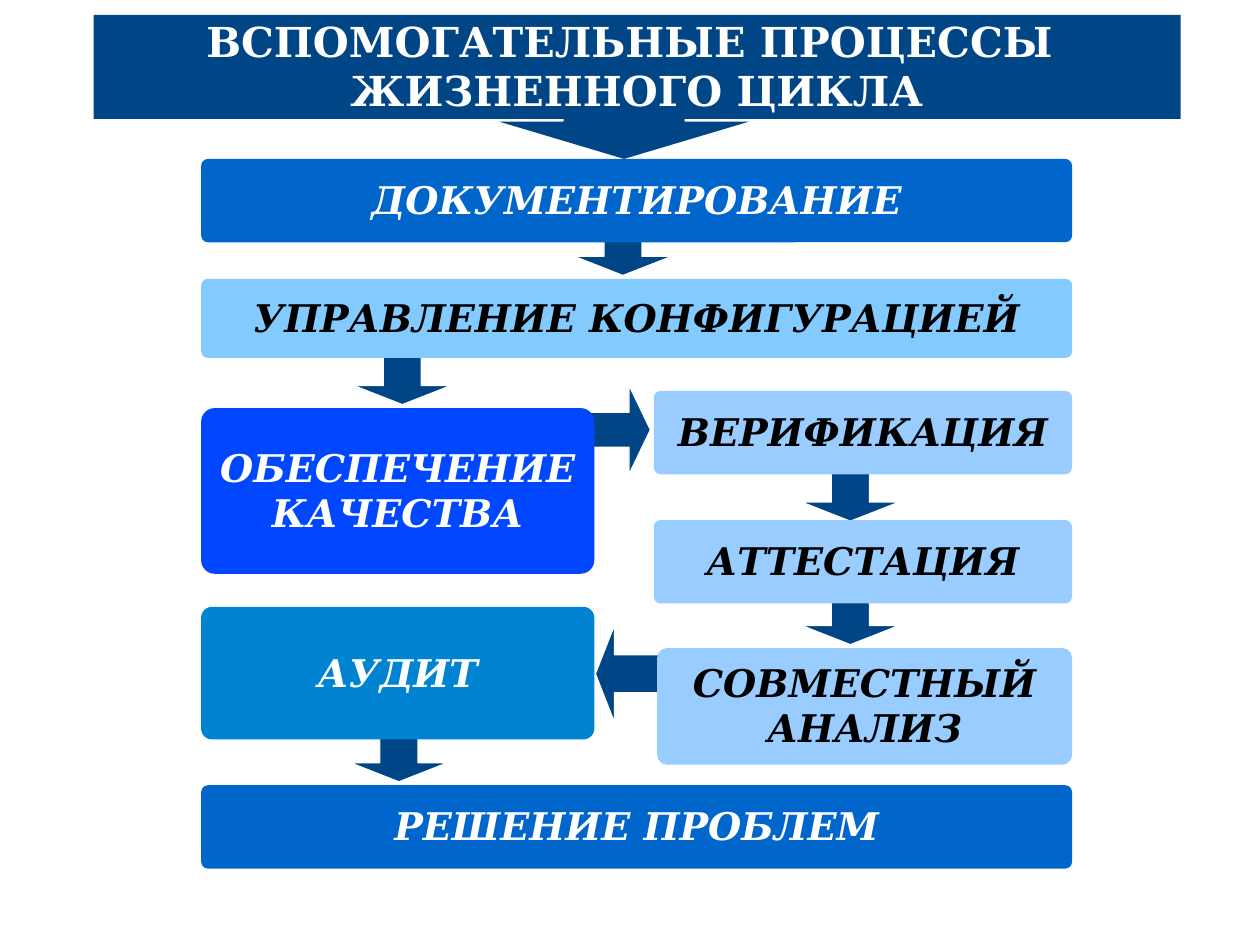
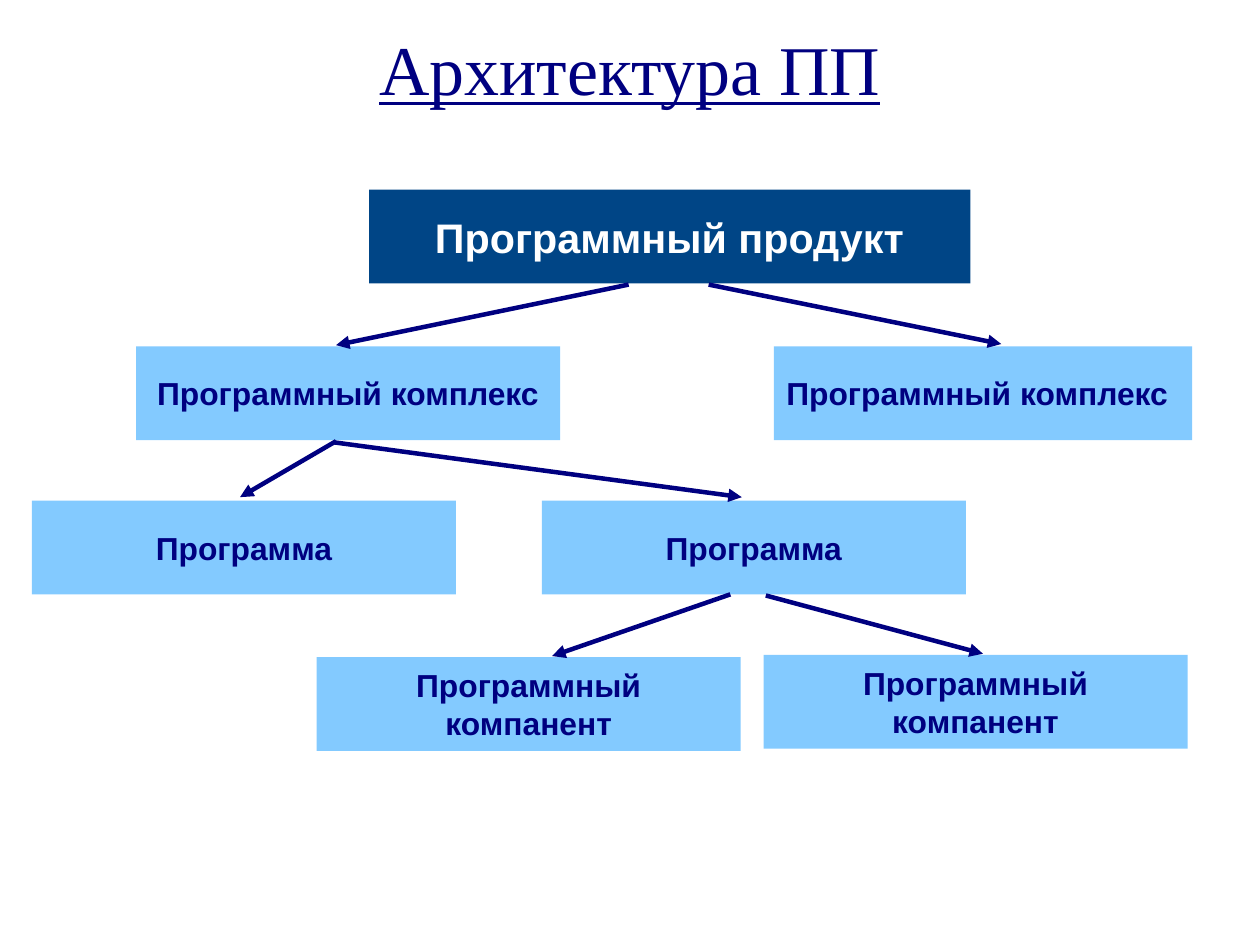
import pptx
import pptx.dml.color
import pptx.enum.shapes
import pptx.enum.text
import pptx.oxml
import pptx.oxml.ns
import pptx.util

Inches = pptx.util.Inches
Pt = pptx.util.Pt
SHAPE = pptx.enum.shapes.MSO_SHAPE
ALIGN = pptx.enum.text.PP_ALIGN
ANCHOR = pptx.enum.text.MSO_ANCHOR

CM_PER_INCH = 2.54
WHITE, BLACK, NAVY = "FFFFFF", "000000", "000080"
DEEP, BLUE, SKY, PALE = "004586", "0066CC", "83CAFF", "99CCFF"
VIVID, OCEAN = "0047FF", "0084D1"
SERIF, SANS, TITLE_FONT = "DejaVu Serif", "Arial", "Times New Roman"


def colour(hex_text):
    """Turn a hex string into a colour."""
    return pptx.dml.color.RGBColor.from_string(hex_text)


def inside(region, left, top, width, height):
    """Return a box whose offsets are measured from the region's corner."""
    return region[0] + left, region[1] + top, width, height


def add_block(slide, kind, box, fill, adjustments=(), outline=None):
    """Add a flat preset shape."""
    shape = slide.shapes.add_shape(kind, *map(Inches, box))
    shape.shadow.inherit = False
    shape.fill.solid()
    shape.fill.fore_color.rgb = colour(fill)
    if outline:
        shape.line.color.rgb = colour(outline)
        shape.line.width = Pt(0.75)
    else:
        shape.line.fill.background()
    for index, value in enumerate(adjustments):
        shape.adjustments[index] = value
    return shape


def write(shape, lines, size, font, text_colour, margins=(0.1, 0.05, 0.05), wrap=True,
          align=ALIGN.CENTER, anchor=ANCHOR.MIDDLE, spacing=1.0, after=0, **style):
    """Write one paragraph per line, breaking it at each newline."""
    frame = shape.text_frame
    frame.word_wrap = wrap
    frame.vertical_anchor = anchor
    frame.margin_left = frame.margin_right = Inches(margins[0])
    frame.margin_top, frame.margin_bottom = Inches(margins[1]), Inches(margins[2])
    for index, line in enumerate(lines):
        paragraph = frame.add_paragraph() if index else frame.paragraphs[0]
        paragraph.alignment = align
        paragraph.line_spacing = spacing
        paragraph.space_after = Pt(after)
        for part_index, part in enumerate(line.split("\n")):
            if part_index:
                paragraph.add_line_break()
            run = paragraph.add_run()
            run.text = part
            run.font.name = font
            run.font.size = Pt(size)
            run.font.color.rgb = colour(text_colour)
            for name, value in style.items():
                setattr(run.font, name, value)


def add_header(slide, box):
    """Draw the heading band with the wide arrow under it."""
    add_block(slide, SHAPE.DOWN_ARROW, inside(box, 3.55, 0.57, 2.18, 0.69),
              DEEP, (0.486, 0.471))
    band = add_block(slide, SHAPE.RECTANGLE, box, DEEP)
    write(band, ["ВСПОМОГАТЕЛЬНЫЕ ПРОЦЕССЫ ", "ЖИЗНЕННОГО ЦИКЛА"], 26, SERIF, WHITE,
          margins=(0.1, 0.06, 0.05), wrap=False, spacing=0.98, bold=True)


def add_process_flow(slide, box):
    """Draw the process boxes and the block arrows between them."""
    wide, narrow = 0.85, 0.64
    tips = [(5.68, 3.17), (5.68, 4.25), (3.69, 1.02), (1.76, 2.15), (1.73, 5.45)]
    arrows = [(SHAPE.DOWN_ARROW, (x - wide / 2, y - narrow, wide, narrow)) for x, y in tips]
    arrows += [
        (SHAPE.RIGHT_ARROW, (3.21, 1.98, 0.72, 0.78)),
        (SHAPE.LEFT_ARROW, (3.45, 4.08, narrow, wide)),
    ]
    for kind, place in arrows:
        add_block(slide, kind, inside(box, *place), DEEP, (0.391, 0.26), WHITE)

    full, left, right = box[2], 3.44, 3.66
    processes = [
        (["ДОКУМЕНТИРОВАНИЕ"], (0, 0, full, 0.73), BLUE, WHITE),
        (["УПРАВЛЕНИЕ КОНФИГУРАЦИЕЙ"], (0, 1.05, full, 0.69), SKY, BLACK),
        (["ОБЕСПЕЧЕНИЕ", "КАЧЕСТВА"], (0, 2.18, left, 1.45), VIVID, WHITE),
        (["ВЕРИФИКАЦИЯ"], (3.96, 2.03, right, 0.73), PALE, BLACK),
        (["АТТЕСТАЦИЯ"], (3.96, 3.16, right, 0.73), PALE, BLACK),
        (["СОВМЕСТНЫЙ\nАНАЛИЗ"], (3.99, 4.28, 3.63, 1.02), PALE, BLACK),
        (["АУДИТ"], (0, 3.92, left, 1.16), OCEAN, WHITE),
        (["РЕШЕНИЕ ПРОБЛЕМ"], (0, 5.48, full, 0.73), BLUE, WHITE),
    ]
    for lines, place, fill, text_colour in processes:
        block = add_block(slide, SHAPE.ROUNDED_RECTANGLE, inside(box, *place), fill, (0.082,))
        write(block, lines, 24, SERIF, text_colour, margins=(0.14, 0.1, 0.09), wrap=False,
              spacing=0.98, bold=True, italic=True)


def add_title(slide, box, text):
    """Write the underlined slide title."""
    title = slide.shapes.add_textbox(*map(Inches, box))
    write(title, [text], 44, TITLE_FONT, NAVY, spacing=0.93, underline=True)


def add_arrow(slide, start, end):
    """Draw a straight line with a triangle at its end."""
    connector = slide.shapes.add_connector(
        pptx.enum.shapes.MSO_CONNECTOR.STRAIGHT, *map(Inches, start + end))
    connector.line.color.rgb = colour(NAVY)
    connector.line.width = Pt(2.83)
    line = connector.line._get_or_add_ln()
    namespace = pptx.oxml.ns.nsdecls("a")
    line.append(pptx.oxml.parse_xml(f'<a:tailEnd {namespace} type="triangle"/>'))
    line.addnext(pptx.oxml.parse_xml(f"<a:effectLst {namespace}/>"))


def add_architecture_tree(slide, box):
    """Draw the product tree and its arrows."""
    node_width, node_height = 3.71, 0.82
    centre, middle = ALIGN.CENTER, ANCHOR.MIDDLE
    nodes = [
        ("Программный продукт", 2.95, 0, 5.26, DEEP, WHITE, 26, centre, middle),
        ("Программный комплекс", 6.49, 1.37, 3.66, SKY, NAVY, 20, ALIGN.LEFT, middle),
    ]
    nodes += [
        (text, left, top, node_width, SKY, NAVY, 20, centre, anchor)
        for text, left, top, anchor in [
            ("Программный комплекс", 0.91, 1.37, middle),
            ("Программа", 0, 2.72, middle),
            ("Программа", 4.46, 2.72, middle),
            ("Программный компанент", 2.49, 4.09, ANCHOR.TOP),
            ("Программный компанент", 6.4, 4.07, middle),
        ]
    ]
    for text, left, top, width, fill, text_colour, size, align, anchor in nodes:
        node = add_block(slide, SHAPE.RECTANGLE,
                         inside(box, left, top, width, node_height), fill)
        write(node, [text], size, SANS, text_colour, margins=(0.11, 0.07, 0.07),
              align=align, anchor=anchor, after=10, bold=True)

    links = [
        ((5.22, 0.83), (2.66, 1.36)), ((5.92, 0.83), (8.48, 1.35)),
        ((2.66, 2.2), (1.82, 2.69)), ((2.64, 2.21), (6.21, 2.69)),
        ((6.11, 3.54), (4.55, 4.08)), ((6.42, 3.55), (8.32, 4.06)),
    ]
    for link in links:
        start, end = [(box[0] + x, box[1] + y) for x, y in link]
        add_arrow(slide, start, end)


def main():
    """Build both slides and save them."""
    presentation = pptx.Presentation()
    presentation.slide_width = Inches(28 / CM_PER_INCH)
    presentation.slide_height = Inches(21 / CM_PER_INCH)
    blank = presentation.slide_layouts[6]

    processes = presentation.slides.add_slide(blank)
    add_process_flow(processes, (1.76, 1.39, 7.62, 6.21))
    add_header(processes, (0.82, 0.13, 9.51, 0.91))

    architecture = presentation.slides.add_slide(blank)
    add_title(architecture, (0.55, 0.21, 9.92, 0.85), "Архитектура ПП")
    add_architecture_tree(architecture, (0.28, 1.66, 10.15, 4.91))

    presentation.save("out.pptx")


if __name__ == "__main__":
    main()
